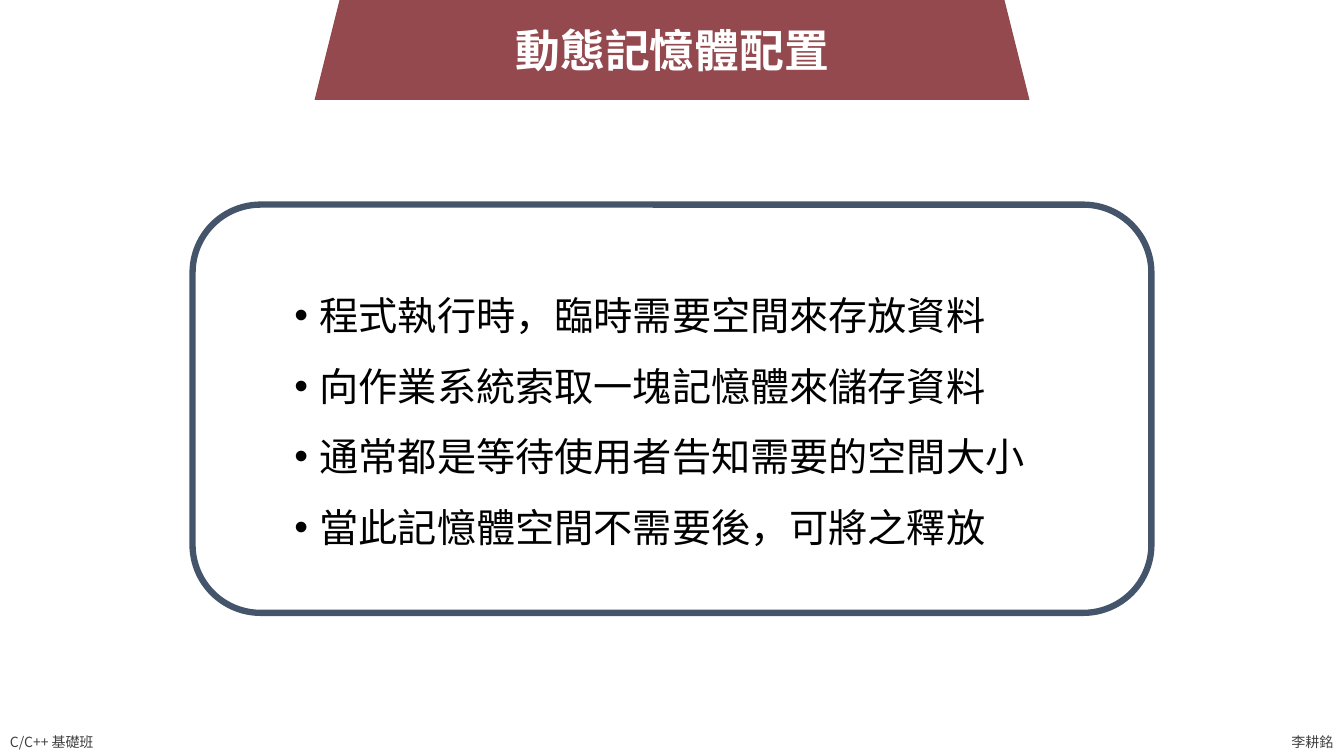
from lxml import etree
from pptx import Presentation
from pptx.dml.color import RGBColor
from pptx.enum.shapes import MSO_SHAPE
from pptx.enum.text import MSO_ANCHOR, PP_ALIGN
from pptx.oxml.ns import qn
from pptx.util import Inches, Pt

BULLETS = [
    "程式執行時，臨時需要空間來存放資料",
    "向作業系統索取一塊記憶體來儲存資料",
    "通常都是等待使用者告知需要的空間大小",
    "當此記憶體空間不需要後，可將之釋放",
]


def color(value):
    return RGBColor.from_string(value)


def write(p, text, font="Noto Sans CJK TC", size=10, fill="404040", bold=False):
    """Add one formatted run, with the same font for Latin and East Asian text."""
    r = p.add_run()
    r.text = text
    r.font.name = font
    r.font.size = Pt(size)
    r.font.bold = bold
    r.font.color.rgb = color(fill)
    etree.SubElement(r.font._element, qn("a:ea"), typeface=font)


class SlideBuilder:
    WHITE, BLACK, RED, NAVY = "FFFFFF", "000000", "94494E", "44546A"

    def __init__(self, prs):
        self.s = prs.slides.add_slide(prs.slide_layouts[1])

    def shape(self, kind, box, fill, line=None, width=0):
        sp = self.s.shapes.add_shape(kind, *map(Inches, box))
        sp.shadow.inherit = False
        sp.fill.solid()
        sp.fill.fore_color.rgb = color(fill)
        if line:
            sp.line.color.rgb = color(line)
            sp.line.width = Pt(width)
        else:
            sp.line.fill.background()

    def label(self, box, text, anchor=MSO_ANCHOR.TOP):
        tf = self.s.shapes.add_textbox(*map(Inches, box)).text_frame
        tf.word_wrap = False
        tf.vertical_anchor = anchor
        write(tf.paragraphs[0], text)

    def placeholder(self, sp, box, anchor, wrap=True):
        """Move a placeholder into its box and in front of the shapes."""
        sp.left, sp.top, sp.width, sp.height = map(Inches, box)
        sp.element.getparent().append(sp.element)
        tf = sp.text_frame
        tf.word_wrap = wrap
        tf.vertical_anchor = anchor
        return tf

    def title(self, box, text):
        tf = self.placeholder(self.s.shapes.title, box, MSO_ANCHOR.MIDDLE, False)
        p = tf.paragraphs[0]
        p.alignment = PP_ALIGN.CENTER
        write(p, text, size=32, fill=self.WHITE, bold=True)

    def bullets(self, box, items):
        tf = self.placeholder(self.s.placeholders[1], box, MSO_ANCHOR.MIDDLE)
        for i, item in enumerate(items):
            p = tf.add_paragraph() if i else tf.paragraphs[0]
            pPr = p._p.get_or_add_pPr()
            pPr.set("marL", str(Inches(0.25)))
            pPr.set("indent", str(-Inches(0.25)))
            etree.SubElement(pPr, qn("a:buFont"), typeface="Arial")
            etree.SubElement(pPr, qn("a:buChar"), char="•")
            p.alignment = PP_ALIGN.LEFT
            p.line_spacing = 1.5
            p.space_before = Pt(0)
            write(p, item, size=28, fill=self.BLACK)


def main():
    prs = Presentation()
    prs.slide_width, prs.slide_height = Inches(13.33), Inches(7.5)
    b = SlideBuilder(prs)

    # Frame and footer
    b.shape(MSO_SHAPE.ROUNDED_RECTANGLE, (1.91, 2.03, 9.51, 4.05), b.WHITE, b.NAVY, 4.5)
    b.label((0, 7.23, 1.07, 0.27), "C/C++ 基礎班")
    b.label((12.71, 7.23, 0.62, 0.27), "李耕銘", MSO_ANCHOR.MIDDLE)

    # Title banner
    b.shape(MSO_SHAPE.TRAPEZOID, (3.12, -0.23, 7.09, 1.22), b.RED)
    b.title((4.94, 0.17, 3.46, 0.64), "動態記憶體配置")

    # Bullet list
    b.bullets((2.82, 2.37, 7.7, 3.38), BULLETS)

    prs.save("out.pptx")


if __name__ == "__main__":
    main()
